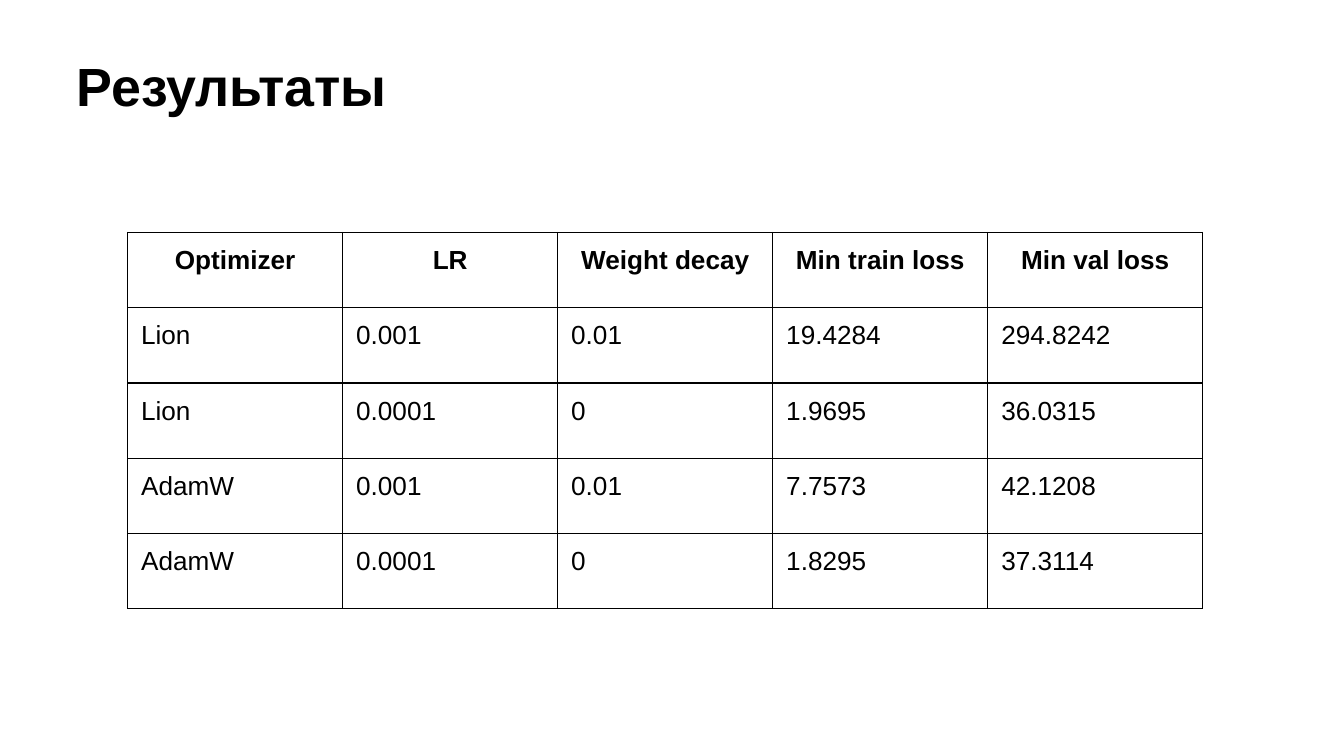
from lxml.etree import SubElement
from pptx import Presentation
from pptx.dml.color import RGBColor
from pptx.enum.text import MSO_ANCHOR, PP_ALIGN
from pptx.oxml.ns import qn
from pptx.util import Inches, Pt

THEME = {
    "font": "Arial",
    "ink": RGBColor.from_string("000000"),
    "paper": RGBColor.from_string("FFFFFF"),
    "title": Pt(28.8),
    "cell": Pt(14),
    "border": Pt(0.75),
}


def write(box, text, size, bold, align, anchor, inset_x, inset_y):
    """Fill a text frame or a table cell with one formatted run."""
    box_format = {
        "margin_left": inset_x, "margin_right": inset_x,
        "margin_top": inset_y, "margin_bottom": inset_y,
        "vertical_anchor": anchor, "word_wrap": True,
    }
    for name, value in box_format.items():
        setattr(box, name, value)
    tf = getattr(box, "text_frame", box)
    p = tf.paragraphs[0]
    p.alignment = align
    r = p.add_run()
    r.text = text
    for name, value in {"name": THEME["font"], "size": size, "bold": bold}.items():
        setattr(r.font, name, value)
    r.font.color.rgb = THEME["ink"]


def add_borders(cell):
    tcPr = cell._tc.get_or_add_tcPr()
    for i, side in enumerate(("a:lnL", "a:lnR", "a:lnT", "a:lnB")):
        ln = tcPr.makeelement(qn(side), {"w": str(THEME["border"])})
        fill = SubElement(ln, qn("a:solidFill"))
        SubElement(fill, qn("a:srgbClr"), val=str(THEME["ink"]))
        tcPr.insert(i, ln)  # borders come before the cell fill


# Slide in 16:9
prs = Presentation()
prs.slide_width = Inches(10)
prs.slide_height = prs.slide_width * 9 // 16
s = prs.slides.add_slide(prs.slide_layouts[5])
s.background.fill.solid()
s.background.fill.fore_color.rgb = THEME["paper"]

# Title
sp = s.shapes.title
sp.left, sp.top, sp.width, sp.height = map(Inches, (0.5, 0.34, 7.46, 0.58))
write(sp.text_frame, "Результаты", THEME["title"], True, PP_ALIGN.LEFT,
      MSO_ANCHOR.MIDDLE, Inches(0.07), Inches(0.04))

# Results table
results = [
    ("Optimizer", "LR", "Weight decay", "Min train loss", "Min val loss"),
    ("Lion", "0.001", "0.01", "19.4284", "294.8242"),
    ("Lion", "0.0001", "0", "1.9695", "36.0315"),
    ("AdamW", "0.001", "0.01", "7.7573", "42.1208"),
    ("AdamW", "0.0001", "0", "1.8295", "37.3114"),
]
n_rows, n_cols = len(results), len(results[0])
table = s.shapes.add_table(n_rows, n_cols, Inches(0.95), Inches(1.73),
                           Inches(1.6) * n_cols, Inches(0.56) * n_rows).table
table.first_row = table.horz_banding = False

for i, row in enumerate(results):
    header = i == 0
    align = PP_ALIGN.CENTER if header else PP_ALIGN.LEFT
    for j, text in enumerate(row):
        cell = table.cell(i, j)
        cell.fill.background()
        write(cell, text, THEME["cell"], header, align,
              MSO_ANCHOR.TOP, Inches(0.1), Inches(0.1))
        add_borders(cell)

prs.save("out.pptx")
